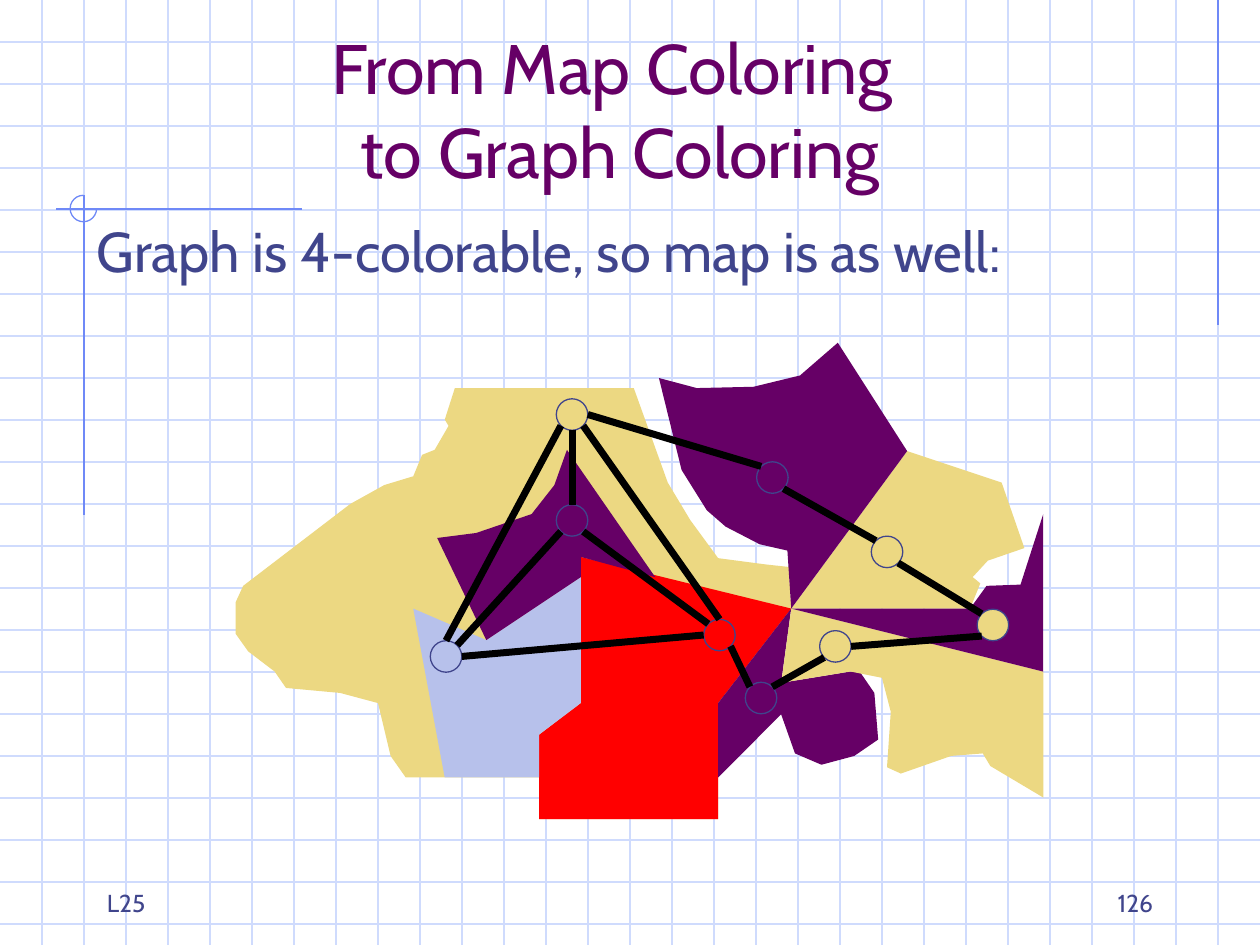
from collections import namedtuple
from dataclasses import dataclass
from math import cos, radians, sin

from lxml import etree
from pptx import Presentation
from pptx.dml.color import RGBColor
from pptx.enum import shapes, text
from pptx.oxml.ns import qn
from pptx.util import Inches, Pt

Box = namedtuple("Box", "x y w h")


@dataclass(frozen=True)
class Theme:
    font: str = "Cabin"
    grid: str = "CFDBFD"
    accent: str = "6F89F7"
    ink: str = "40458C"
    black: str = "000000"
    purple: str = "660066"
    sand: str = "ECD882"
    red: str = "FF0000"
    blue: str = "B7C1EB"
    title: int = 40
    body: int = 32
    footer: int = 14
    thin: float = 0.75
    thick: float = 4


T = Theme()

# Map and graph points are measured in this frame
FRAME = Box(1.83, 2.72, 6.45, 3.78)

# Points where regions meet
HUB, PEAK, BEND, LOW = (6.28, 4.83), (4.61, 4.42), (4.61, 4.58), (4.61, 5.58)
NOTCH, QUAY, FOOT = (4.28, 5.83), (4.28, 6.17), (4.28, 6.5)
HEEL, PORT, STEP = (5.7, 6.5), (5.7, 6.17), (5.7, 5.58)
FORK, CAPE, BAY = (3.86, 5.08), (6.2, 5.42), (6.75, 5.33)
SHORE, GATE, RIDGE = (7.7, 4.83), (8.28, 5.33), (7.2, 3.58)

# Coastlines between those points
WEST_COAST = [
    (5.03, 3.08), (3.61, 3.08), (3.53, 3.33), (3.56, 3.38), (3.45, 3.57),
    (3.35, 3.61), (3.28, 3.78), (3.05, 3.85), (2.78, 4), (1.93, 4.65),
    (1.87, 4.78), (1.87, 5.03), (1.97, 5.17), (2.18, 5.33), (2.27, 5.46),
    (2.7, 5.5), (3, 5.58), (3.1, 6), (3.22, 6.17)]
STRAIT = [(6.26, 4.5), (6.08, 4.48), (5.7, 4.43), (5.48, 4.13), (5.3, 3.83)]
INNER_COAST = [(3.47, 4.27), (3.78, 4.23), (4.22, 4.08), (4.4, 3.85), (4.5, 3.57),
               (5.2, 4.58)]
SOUTH_COAST = [(6.2, 5.67), (6.31, 5.98), (6.52, 6.07), (6.78, 6), (6.97, 5.87),
               (6.94, 5.5), (6.83, 5.34)]
SOUTHEAST_COAST = [(8.28, 6.33), (7.86, 6.08), (7.8, 5.98), (7.55, 6), (7.15, 6.14),
                   (7.04, 6.09), (7.07, 5.65), (7, 5.38)]
NORTHEAST_COAST = [(7.78, 4.63), (7.72, 4.58), (7.84, 4.45), (8.13, 4.35),
                   (7.95, 3.83)]
EAST_COAST = [(8.28, 4.08), (8.1, 4.64), (7.83, 4.65)]
NORTH_COAST = [(6.25, 4.37), (6.03, 4.32), (5.76, 4.18), (5.61, 4.05), (5.41, 3.73),
               (5.23, 3), (5.53, 3.08), (5.98, 3.07), (6.35, 2.98), (6.65, 2.72)]

# Regions from back to front
REGIONS = [
    (T.sand, [*WEST_COAST, QUAY, FOOT, HEEL, STEP, HUB, *STRAIT]),
    (T.red, [FOOT, NOTCH, LOW, PEAK, HUB, STEP, HEEL]),
    (T.blue, [(3.53, 6.17), (3.28, 4.83), FORK, BEND, LOW, NOTCH, QUAY]),
    (T.purple, [FORK, *INNER_COAST, PEAK, BEND]),
    (T.purple, [PORT, *SOUTH_COAST, BAY, CAPE, HUB, STEP]),
    (T.sand, [HUB, GATE, *SOUTHEAST_COAST, BAY, CAPE]),
    (T.sand, [HUB, SHORE, *NORTHEAST_COAST, RIDGE]),
    (T.purple, [SHORE, HUB, GATE, *EAST_COAST]),
    (T.purple, [HUB, *NORTH_COAST, RIDGE]),
]

# Graph: node centres with fill, and edges between compass points of the nodes
NODE_SIZE = 0.25
NODES = {
    "top": (4.54, 3.29, T.sand), "inner": (4.54, 4.13, None),
    "west": (3.54, 5.21, None), "centre": (5.71, 5.04, None),
    "south": (6.04, 5.54, None), "middle": (6.63, 5.13, T.sand),
    "east": (7.88, 4.96, T.sand), "northeast": (7.04, 4.38, T.sand),
    "north": (6.13, 3.79, None),
}
EDGES = [
    ("west", "NE", "inner", "SW"), ("centre", "N", "top", "SE"),
    ("inner", "N", "top", "S"), ("west", "E", "centre", "W"),
    ("centre", "NW", "inner", "SE"), ("top", "E", "north", "NW"),
    ("west", "N", "top", "SW"), ("south", "NW", "centre", "SE"),
    ("south", "NE", "middle", "SW"), ("east", "SW", "middle", "E"),
    ("east", "NW", "northeast", "SE"), ("north", "SE", "northeast", "NW"),
]
COMPASS = ["E", "SE", "S", "SW", "W", "NW", "N", "NE"]


def add_line(s, x1, y1, x2, y2, color, width=T.thin):
    c = s.shapes.add_connector(shapes.MSO_CONNECTOR.STRAIGHT,
                               *map(Inches, (x1, y1, x2, y2)))
    c.line.color.rgb = RGBColor.from_string(color)
    c.line.width = Pt(width)
    etree.SubElement(c._element.spPr, qn("a:effectLst"))


def style(sp, fill=None, line=None):
    sp.shadow.inherit = False
    for part, color in ((sp.fill, fill), (sp.line.fill, line)):
        if color:
            part.solid()
            part.fore_color.rgb = RGBColor.from_string(color)
        else:
            part.background()
    if line:
        sp.line.width = Pt(T.thin)


def add_text(s, box, words, size, color=T.ink, align="LEFT", anchor="TOP", before=0):
    tf = s.shapes.add_textbox(*map(Inches, box)).text_frame
    tf.word_wrap = True
    tf.vertical_anchor = text.MSO_ANCHOR[anchor]
    p = tf.paragraphs[0]
    p.text = words
    p.alignment = text.PP_ALIGN[align]
    p.space_before = Pt(before)
    for r in p.runs:
        r.font.name, r.font.size = T.font, Pt(size)
        r.font.color.rgb = RGBColor.from_string(color)


def draw_background(s, box, step=1 / 3):
    # Squared paper
    right, bottom = box.x + box.w, box.y + box.h
    for i in range(1, int(box.h / step) + 1):
        add_line(s, box.x, box.y + i * step, right, box.y + i * step, T.grid)
    for i in range(1, round(box.w / step)):
        add_line(s, box.x + i * step, box.y, box.x + i * step, bottom, T.grid)
    # Accent lines and three-quarter circle
    x, y = box.x + 2 * step, box.y + 1.66
    add_line(s, right - step, box.y, right - step, box.y + 2.58, T.accent)
    add_line(s, x + 1.73, y, x - 0.22, y, T.accent)
    add_line(s, x, y - 0.11, x, y + 2.43, T.accent)
    sp = s.shapes.add_shape(shapes.MSO_SHAPE.ARC,
                            *map(Inches, (x - 0.11, y - 0.11, 0.21, 0.21)))
    sp.adjustments[0], sp.adjustments[1] = 0, 162  # 0 to 270 degrees
    style(sp, line=T.accent)


def place(box, x, y):
    return (box.x + (x - FRAME.x) * box.w / FRAME.w,
            box.y + (y - FRAME.y) * box.h / FRAME.h)


def draw_map(s, box):
    for color, outline in REGIONS:
        points = [tuple(map(Inches, place(box, *q))) for q in outline]
        builder = s.shapes.build_freeform(*points[0])
        builder.add_line_segments(points[1:], close=True)
        style(builder.convert_to_shape(), fill=color)


def draw_graph(s, box):
    radius = NODE_SIZE / 2
    for x, y, fill in NODES.values():
        cx, cy = place(box, x, y)
        sp = s.shapes.add_shape(shapes.MSO_SHAPE.OVAL, *map(
            Inches, (cx - radius, cy - radius, NODE_SIZE, NODE_SIZE)))
        style(sp, fill, T.ink)

    def rim(node, side):
        cx, cy = place(box, *NODES[node][:2])
        angle = radians(45 * COMPASS.index(side))
        return cx + radius * cos(angle), cy + radius * sin(angle)

    for a, a_side, b, b_side in EDGES:
        add_line(s, *rim(a, a_side), *rim(b, b_side), T.black, T.thick)


def main():
    prs = Presentation()
    prs.slide_width, prs.slide_height = Inches(10), Inches(7.5)
    s = prs.slides.add_slide(prs.slide_layouts[6])
    draw_background(s, Box(0, 0, 10, 7.5))
    # Footer and title
    add_text(s, Box(0.75, 6.83, 2.08, 0.5), "L25", T.footer, anchor="BOTTOM")
    add_text(s, Box(7.17, 6.83, 2.08, 0.5), "126", T.footer, align="RIGHT",
             anchor="BOTTOM")
    add_text(s, Box(0.67, 0.33, 8.5, 1.25), "From Map Coloring \vto Graph Coloring",
             T.title, color=T.purple, align="CENTER", anchor="BOTTOM")
    # Map, statement and graph
    draw_map(s, FRAME)
    add_text(s, Box(0.67, 1.67, 8.5, 4.5), "Graph is 4-colorable, so map is as well:",
             T.body, before=8)
    draw_graph(s, FRAME)
    prs.save("out.pptx")


if __name__ == "__main__":
    main()
